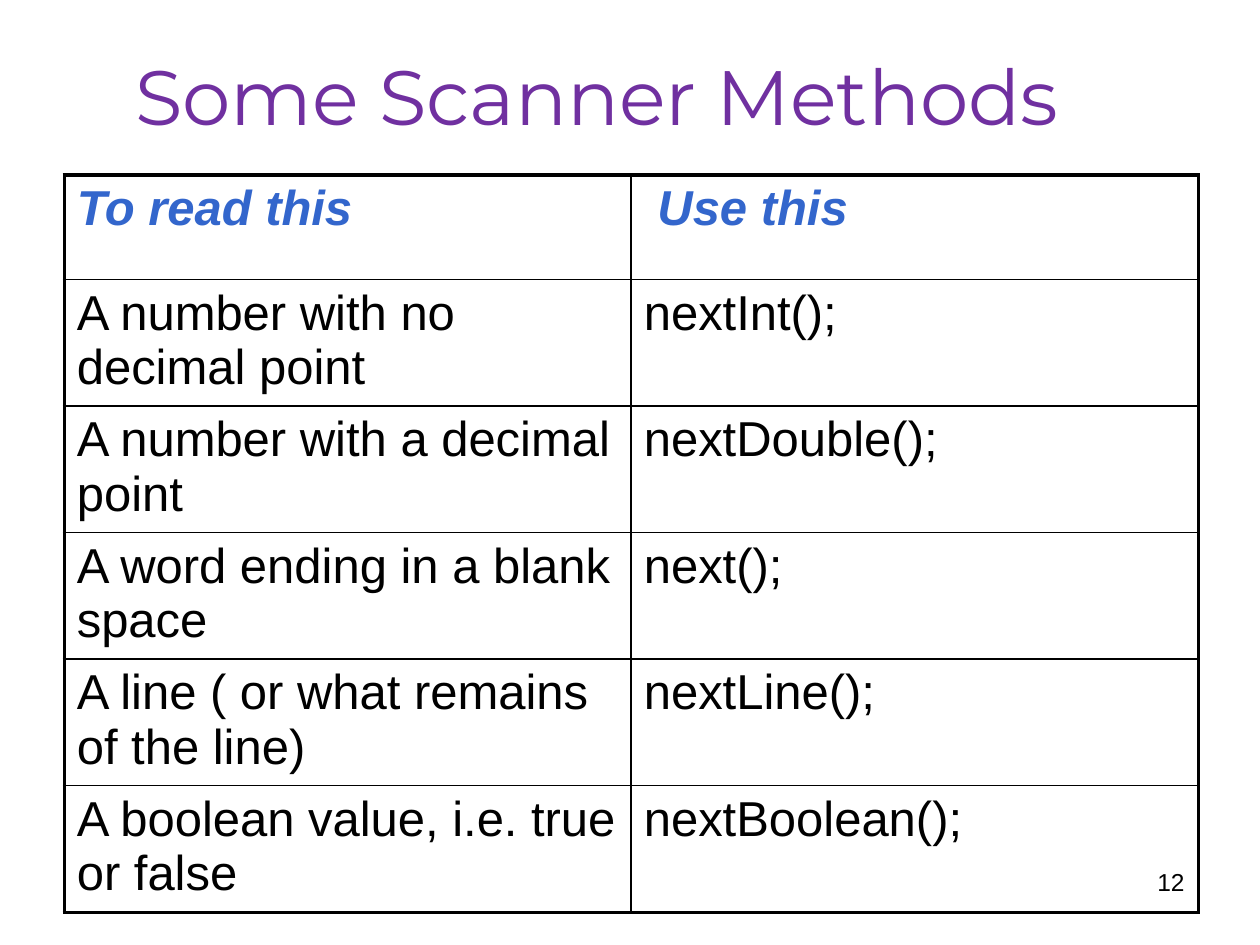
from lxml.etree import SubElement as Sub
from pptx import Presentation
from pptx.dml.color import RGBColor
from pptx.enum.text import MSO_ANCHOR as Anchor, PP_ALIGN as Align
from pptx.oxml.ns import qn
from pptx.util import Inches, Pt

PURPLE = RGBColor(0x70, 0x30, 0xA0)
BLUE = RGBColor(0x33, 0x66, 0xCC)
BLACK = RGBColor(0, 0, 0)
THICK, THIN = Pt(2.25), Pt(1)

ROWS = [
    ("To read this", " Use this"),
    ("A number with no decimal point", "nextInt();"),
    ("A number with a decimal point", "nextDouble();"),
    ("A word ending in a blank space", "next();"),
    ("A line ( or what remains of the line)", "nextLine();"),
    ("A boolean value, i.e. true or false", "nextBoolean();"),
]
HIGHS = [0.83] + [0.97] * (len(ROWS) - 1)
HEAD = dict(name="Arial", size=Pt(28), bold=True, italic=True)
BODY = dict(name="Arial", size=Pt(28), bold=False, italic=False)


def write(frame, text, color, form, align=Align.LEFT):
    frame.word_wrap = True
    para = frame.paragraphs[0]
    para.alignment = align
    run = para.add_run()
    run.text = text
    run.font.color.rgb = color
    for key, value in form.items():
        setattr(run.font, key, value)


def edge(cell, side, width):
    line = Sub(cell._tc.get_or_add_tcPr(), qn(f"a:ln{side}"), w=str(width))
    fill = Sub(line, qn("a:solidFill"))
    Sub(fill, qn("a:srgbClr"), val=str(BLACK))


prs = Presentation()
prs.slide_width, prs.slide_height = Inches(10), Inches(7.5)
slide = prs.slides.add_slide(prs.slide_layouts[6])

# Title
title = slide.shapes.add_textbox(Inches(0.49), Inches(0.13), Inches(8.5), Inches(1.25))
title.text_frame.vertical_anchor = Anchor.MIDDLE
write(title.text_frame, "Some Scanner Methods", PURPLE,
      dict(name="Montserrat", size=Pt(44)), Align.CENTER)

# Method table: thick outline, thin inner rules
last = len(ROWS) - 1
grid = slide.shapes.add_table(len(ROWS), 2, Inches(0.51), Inches(1.39),
                              Inches(9), Inches(sum(HIGHS))).table
grid.first_row = grid.horz_banding = False
for r, row in enumerate(ROWS):
    grid.rows[r].height = Inches(HIGHS[r])
    for c, text in enumerate(row):
        cell = grid.cell(r, c)
        cell.margin_bottom = Inches(0.02)
        outer = {"L": c == 0, "R": c == 1, "T": r == 0, "B": r == last}
        for side, thick in outer.items():
            edge(cell, side, THICK if thick else THIN)
        cell.fill.background()
        color, form = (BLUE, HEAD) if r == 0 else (BLACK, BODY)
        write(cell.text_frame, text, color, form)

# Page number
page = slide.shapes.add_textbox(Inches(7.17), Inches(6.83), Inches(2.33), Inches(0.52))
write(page.text_frame, "12", BLACK, dict(name="Arial", size=Pt(14)), Align.RIGHT)

prs.save("out.pptx")
